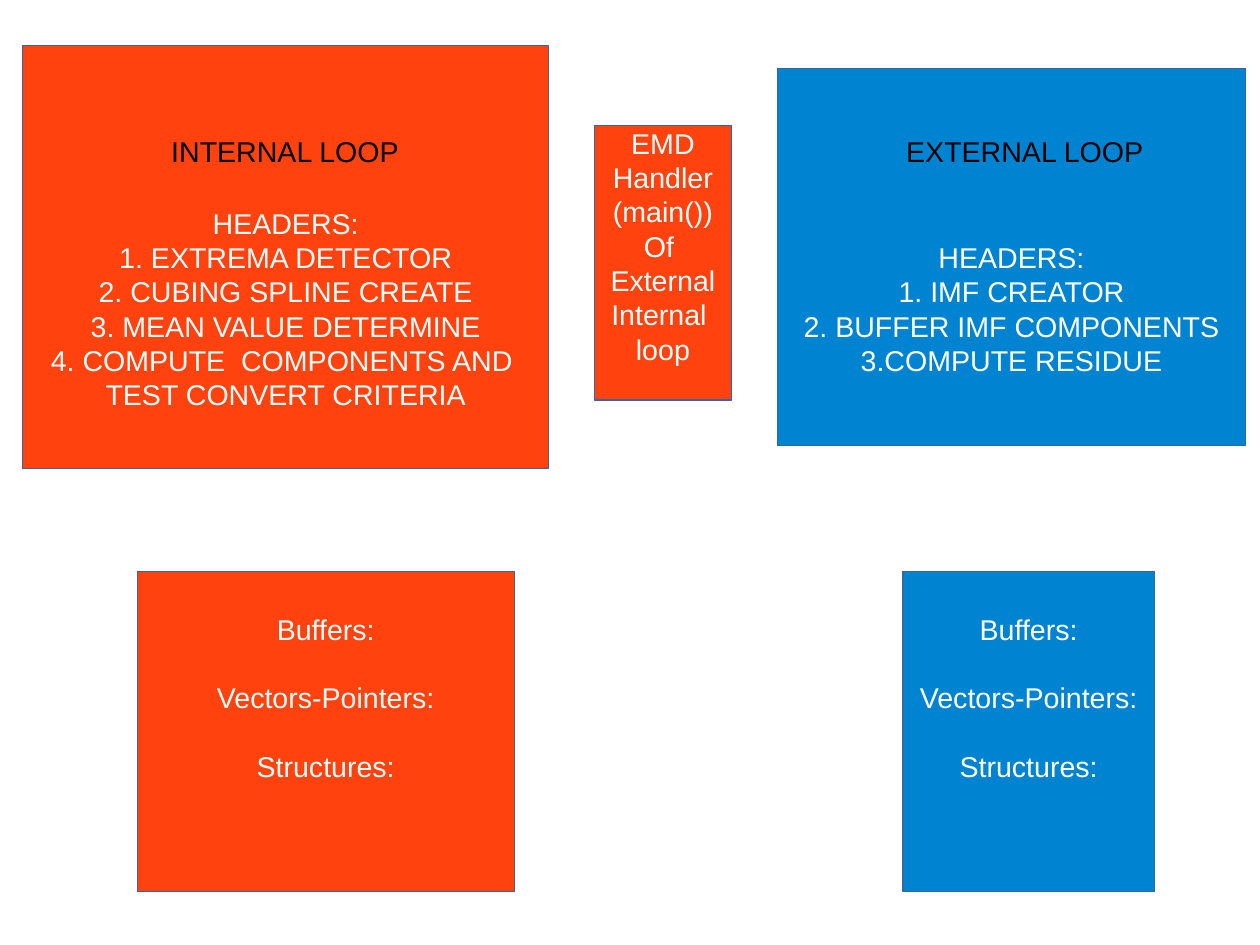
"""Build the slide that maps the internal and external loops of an EMD program."""
import pptx
import pptx.dml.color
import pptx.enum.shapes
import pptx.enum.text
import pptx.util
from pptx.util import Inches

ORANGE, BLUE, BORDER = "FF420E", "0084D1", "3465A4"
WHITE, BLACK = "FFFFFF", "000000"
LINE_PITCH = 21.6

INTERNAL_HEADERS = [
    "HEADERS:",
    "1. EXTREMA DETECTOR",
    "2. CUBING SPLINE CREATE",
    "3. MEAN VALUE DETERMINE",
    "4. COMPUTE  COMPONENTS AND ",
    "TEST CONVERT CRITERIA",
]
HANDLER = ["EMD", "Handler", "(main())", "Of ", "External", "Internal ", "loop"]
EXTERNAL_HEADERS = [
    "HEADERS:",
    "1. IMF CREATOR",
    "2. BUFFER IMF COMPONENTS",
    "3.COMPUTE RESIDUE",
]
STORAGE = ["Buffers:", "Vectors-Pointers:", "Structures:"]

# left, top, width, height, fill, lines, space above text, gap between lines in points
BOXES = [
    (0.2, 0.4, 4.6, 3.7, ORANGE, INTERNAL_HEADERS, 1.4, 0),
    (5.2, 1.1, 1.2, 2.4, ORANGE, HANDLER, 0, 0),
    (6.8, 0.6, 4.1, 3.3, BLUE, EXTERNAL_HEADERS, 1.5, 0),
    (1.2, 5, 3.3, 2.8, ORANGE, STORAGE, 0.35, LINE_PITCH),
    (7.9, 5, 2.2, 2.8, BLUE, STORAGE, 0.35, LINE_PITCH),
]
HEADINGS = [(1.4, "INTERNAL LOOP"), (7.83, "EXTERNAL LOOP")]


def color(value):
    return pptx.dml.color.RGBColor.from_string(value)


def format_runs(para, value):
    for span in para.runs:
        span.font.name = "Arial"
        span.font.size = pptx.util.Pt(18)
        span.font.color.rgb = color(value)


def add_box(page, left, top, width, height, fill, lines, space_above, gap):
    box = page.shapes.add_shape(
        pptx.enum.shapes.MSO_SHAPE.RECTANGLE,
        Inches(left), Inches(top), Inches(width), Inches(height),
    )
    box.shadow.inherit = False
    box.fill.solid()
    box.fill.fore_color.rgb = color(fill)
    box.line.color.rgb = color(BORDER)
    box.line.width = pptx.util.Pt(0)
    frame = box.text_frame
    frame.word_wrap = False
    frame.vertical_anchor = pptx.enum.text.MSO_ANCHOR.TOP
    frame.margin_top = Inches(space_above)
    frame.margin_bottom = 0
    frame.text = "\n".join(lines)
    for para in frame.paragraphs:
        para.alignment = pptx.enum.text.PP_ALIGN.CENTER
        para.line_spacing = pptx.util.Pt(LINE_PITCH)
        para.space_after = pptx.util.Pt(gap)
        format_runs(para, WHITE)


def add_heading(page, left, text):
    box = page.shapes.add_textbox(Inches(left), Inches(1.12), Inches(2.4), Inches(0.38))
    box.text_frame.word_wrap = True
    box.text_frame.text = text
    format_runs(box.text_frame.paragraphs[0], BLACK)


def main():
    deck = pptx.Presentation()
    deck.slide_width, deck.slide_height = pptx.util.Cm(28), pptx.util.Cm(21)
    page = deck.slides.add_slide(deck.slide_layouts[6])
    for box in BOXES:
        add_box(page, *box)
    for heading in HEADINGS:
        add_heading(page, *heading)
    deck.save("out.pptx")


if __name__ == "__main__":
    main()
